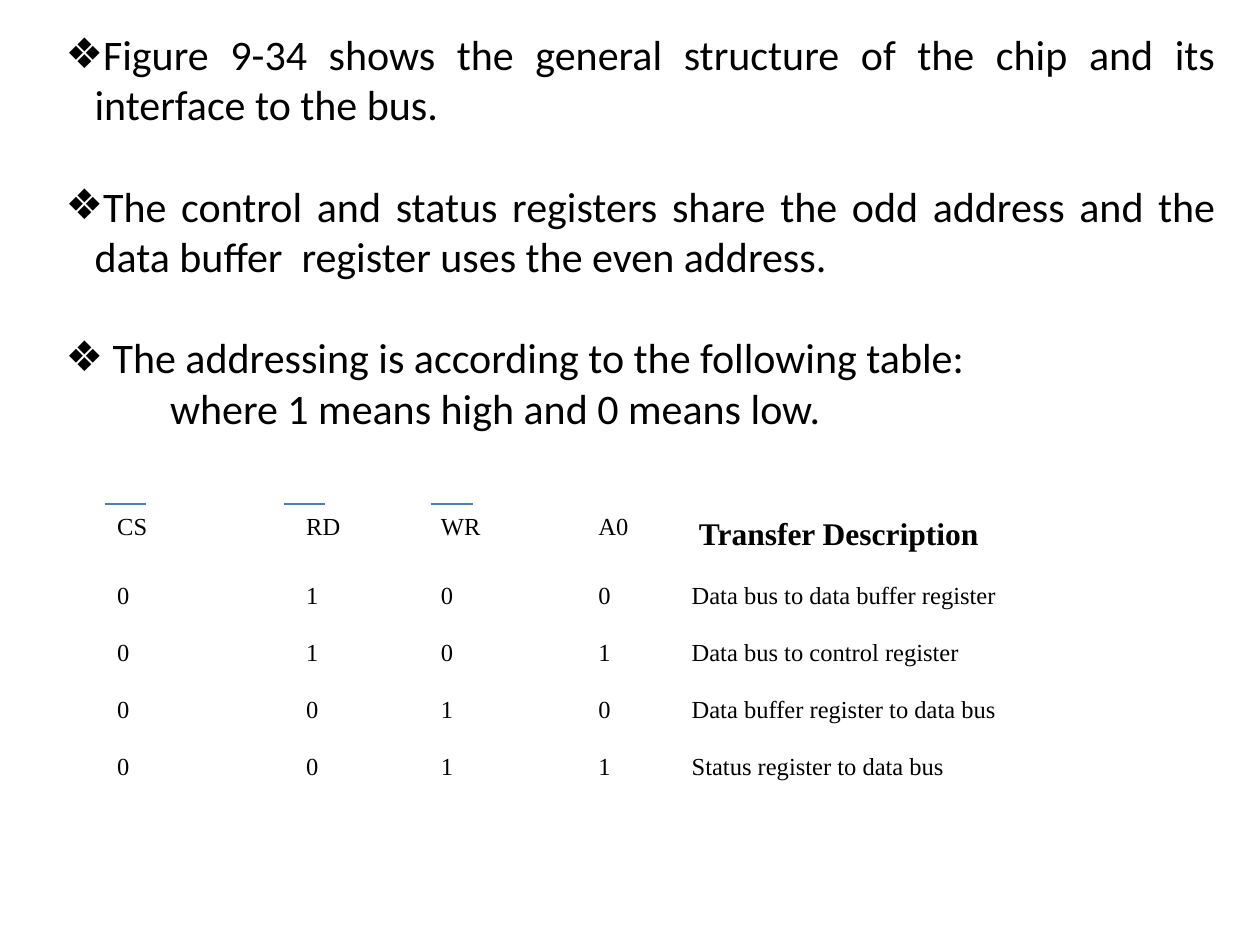
from pptx import Presentation
from pptx.dml.color import RGBColor
from pptx.enum.shapes import MSO_CONNECTOR
from pptx.enum.text import MSO_ANCHOR, MSO_AUTO_SIZE, PP_ALIGN
from pptx.oxml.ns import qn
from pptx.util import Inches, Pt
from lxml.etree import SubElement

BLACK, BLUE = "000000", "4A7EBB"
BULLET = "❖"

# Content: text, bulleted, space before in points
NOTES = [
    ("Figure 9-34 shows the general structure of the chip and its interface to the bus.", True, 0),
    ("The control and status registers share the odd address and the "
     "data buffer  register uses the even address.", True, 29),
    (" The addressing is according to the following table:", True, 29),
    ("where 1 means high and 0 means low.", False, 0),
]
HEADER = ["CS", "RD", "WR", "A0", " Transfer Description"]
TRANSFERS = [
    ("0", "1", "0", "0", "Data bus to data buffer register"),
    ("0", "1", "0", "1", "Data bus to control register"),
    ("0", "0", "1", "0", "Data buffer register to data bus"),
    ("0", "0", "1", "1", "Status register to data bus"),
]
COLUMN_WIDTHS = [1.5, 1.07, 1.25, 0.74, 4.03]
HEADER_HEIGHT, ROW_HEIGHT = 0.54, 0.35
OVERBAR_LEFTS = [0.83, 2.25, 3.42]
OVERBAR_WIDTH, OVERBAR_TOP = 0.33, 4


def color(hex_string):
    return RGBColor.from_string(hex_string)


def set_font(font, name, size, bold=False):
    font.name, font.size, font.bold = name, Pt(size), bold
    font.color.rgb = color(BLACK)


def set_bullet(paragraph, bulleted):
    properties = paragraph._p.get_or_add_pPr()
    margin, indent = (0.23, -0.23) if bulleted else (0.83, 0)
    properties.set("marL", str(Inches(margin)))
    properties.set("indent", str(Inches(indent)))
    if bulleted:
        bullet_color = SubElement(properties, qn("a:buClr"))
        SubElement(bullet_color, qn("a:srgbClr")).set("val", BLACK)
        SubElement(properties, qn("a:buChar")).set("char", BULLET)
    else:
        SubElement(properties, qn("a:buNone"))


def add_notes(slide):
    body = slide.placeholders[1]
    body.left, body.top = Inches(0.42), Inches(0.18)
    body.width, body.height = Inches(9.33), Inches(3.3)
    frame = body.text_frame
    frame.text = "\n".join(text for text, _, _ in NOTES)
    frame.word_wrap = True
    frame.auto_size = MSO_AUTO_SIZE.SHAPE_TO_FIT_TEXT
    frame.vertical_anchor = MSO_ANCHOR.MIDDLE
    for paragraph, (_, bulleted, space) in zip(frame.paragraphs, NOTES):
        paragraph.alignment = PP_ALIGN.JUSTIFY
        paragraph.space_before = Pt(space)
        set_bullet(paragraph, bulleted)
        set_font(paragraph.runs[0].font, "Calibri", 24)


def add_transfer_table(slide):
    rows = [HEADER, *TRANSFERS]
    heights = [HEADER_HEIGHT] + [ROW_HEIGHT] * len(TRANSFERS)
    table = slide.shapes.add_table(
        len(rows), len(HEADER), Inches(0.83), Inches(3.92),
        Inches(sum(COLUMN_WIDTHS)), Inches(sum(heights))).table
    table.first_row = table.horz_banding = False
    for column, width in zip(table.columns, COLUMN_WIDTHS):
        column.width = Inches(width)
    for row, height, texts in zip(table.rows, heights, rows):
        row.height = Inches(height)
        for cell, text in zip(row.cells, texts):
            cell.text = text
            cell.fill.background()
            paragraph = cell.text_frame.paragraphs[0]
            paragraph.line_spacing = 1.5
            is_title = text == HEADER[-1]
            set_font(paragraph.runs[0].font, "Times New Roman", 18 if is_title else 14, is_title)


def add_overbars(slide):
    for left in OVERBAR_LEFTS:
        bar = slide.shapes.add_connector(
            MSO_CONNECTOR.STRAIGHT, Inches(left), Inches(OVERBAR_TOP),
            Inches(left + OVERBAR_WIDTH), Inches(OVERBAR_TOP))
        bar.line.color.rgb = color(BLUE)
        bar.line.width = Pt(0.75)
        SubElement(bar._element.spPr, qn("a:effectLst"))


def main():
    presentation = Presentation()
    presentation.slide_width, presentation.slide_height = Inches(10), Inches(7.5)
    slide = presentation.slides.add_slide(presentation.slide_layouts[1])
    title = slide.shapes.title._element
    title.getparent().remove(title)

    add_notes(slide)
    add_transfer_table(slide)
    add_overbars(slide)
    presentation.save("out.pptx")


if __name__ == "__main__":
    main()
